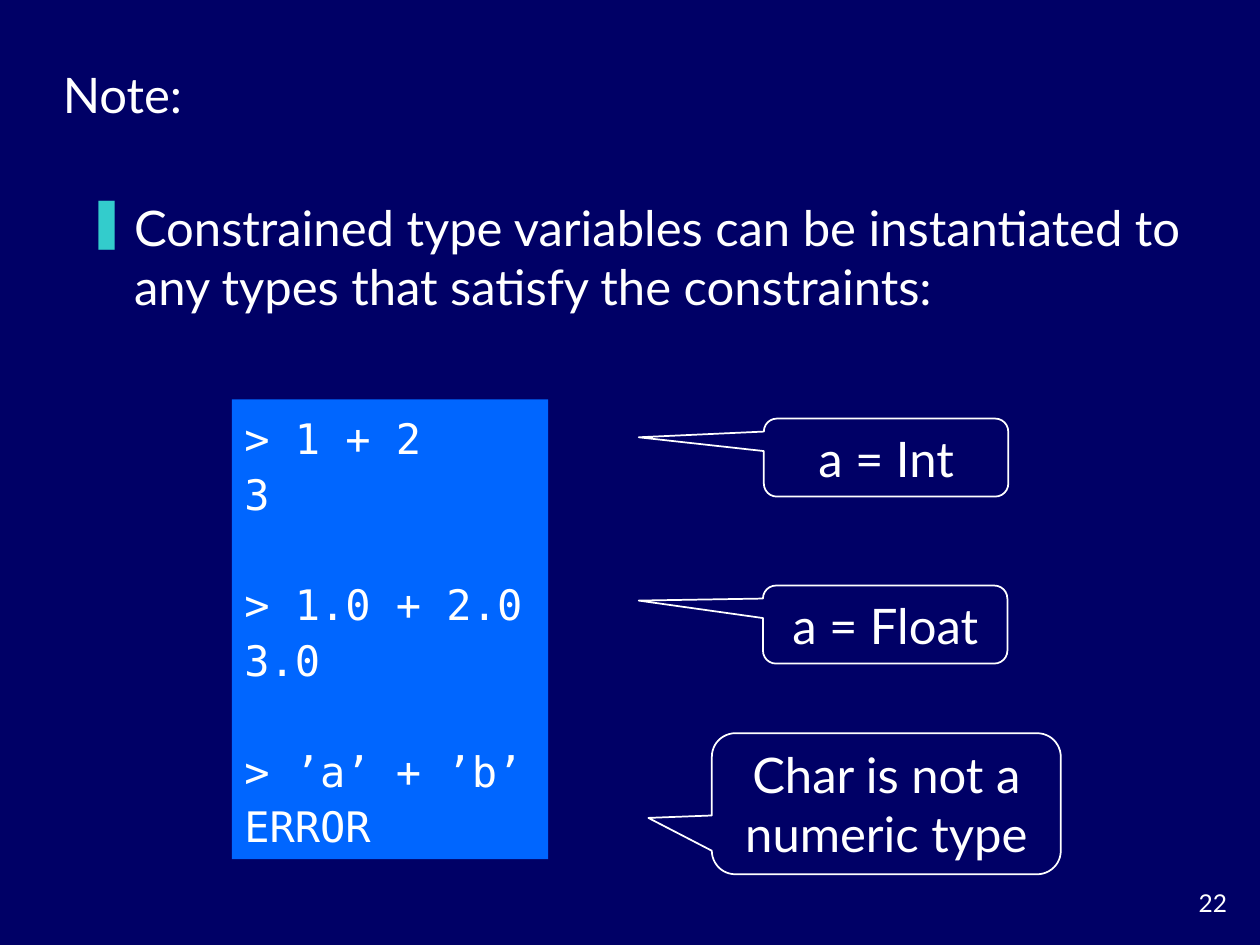
import lxml.etree
import pptx
import pptx.dml.color
import pptx.enum.shapes
import pptx.enum.text
import pptx.oxml.ns
import pptx.util

Pt = pptx.util.Pt
ALIGN = pptx.enum.text.PP_ALIGN
ANCHOR = pptx.enum.text.MSO_ANCHOR
SHAPES = pptx.enum.shapes.MSO_SHAPE
WHITE = "FFFFFF"
BODY = {"name": "Lato", "size": Pt(28)}
CODE = {"name": "DejaVu Sans Mono", "size": Pt(24)}
SMALL = {"name": "Lato", "size": Pt(14)}


def color(value):
    """Turn a hex string into a colour."""
    return pptx.dml.color.RGBColor.from_string(value)


def apply(target, values):
    """Set each attribute of the target from a dict."""
    for name, value in values.items():
        setattr(target, name, value)


def add_paragraph(frame, text, font, layout):
    """Write one paragraph, reusing the first one while it is empty."""
    first = frame.paragraphs[0]
    paragraph = frame.add_paragraph() if first.runs else first
    apply(paragraph, layout)
    run = paragraph.add_run()
    run.text = text
    apply(run.font, font)
    run.font.color.rgb = color(WHITE)
    return paragraph


def add_label(slide, box, text, font, frame_format, layout):
    """Add a text box with one paragraph and return that paragraph."""
    frame = slide.shapes.add_textbox(*map(Pt, box)).text_frame
    apply(frame, frame_format)
    return add_paragraph(frame, text, font, layout)


def add_bullet(paragraph, character, hex_color, indent):
    """Give a paragraph a coloured bullet with a hanging indent."""
    properties = paragraph._p.get_or_add_pPr()
    properties.set("marL", str(Pt(indent)))
    properties.set("indent", str(-Pt(indent)))
    qn = pptx.oxml.ns.qn
    bullet_color = lxml.etree.SubElement(properties, qn("a:buClr"))
    lxml.etree.SubElement(bullet_color, qn("a:srgbClr")).set("val", hex_color)
    lxml.etree.SubElement(properties, qn("a:buChar")).set("char", character)


def add_panel(slide, kind, box):
    """Add an unshadowed shape with vertically centred, wrapping text."""
    shape = slide.shapes.add_shape(kind, *map(Pt, box))
    shape.shadow.inherit = False
    apply(shape.text_frame, {"word_wrap": True, "vertical_anchor": ANCHOR.MIDDLE})
    return shape


def add_session(slide, box, exchanges):
    """Add the code panel, with a one-line gap between exchanges."""
    panel = add_panel(slide, SHAPES.RECTANGLE, box)
    panel.fill.solid()
    panel.fill.fore_color.rgb = color("0066FF")
    panel.line.fill.background()
    for index, (command, answer) in enumerate(exchanges):
        gap = Pt(31.7 if index else 0)
        for text, space in ((command, gap), (answer, Pt(0))):
            layout = {"alignment": ALIGN.LEFT, "line_spacing": 1.1, "space_before": space}
            add_paragraph(panel.text_frame, text, CODE, layout)


def add_callout(slide, box, tip, text):
    """Add an outlined callout whose tail ends at the tip point."""
    callout = add_panel(slide, SHAPES.ROUNDED_RECTANGULAR_CALLOUT, box)
    left, top, width, height = box
    callout.adjustments[0] = (tip[0] - left) / width - 0.5
    callout.adjustments[1] = (tip[1] - top) / height - 0.5
    callout.fill.background()
    callout.line.color.rgb = color(WHITE)
    callout.line.width = Pt(1)
    add_paragraph(callout.text_frame, text, BODY, {"alignment": ALIGN.CENTER})


def build_note_slide(presentation):
    """Build the note slide on the blank layout."""
    slide = presentation.slides.add_slide(presentation.slide_layouts[6])
    slide.background.fill.solid()
    slide.background.fill.fore_color.rgb = color("000066")
    add_label(slide, (660.2, 504, 48.2, 23.8), "22", SMALL,
              {"word_wrap": True}, {"alignment": ALIGN.RIGHT})
    statement = add_label(
        slide, (42.5, 109.4, 648.7, 85),
        "Constrained type variables can be instantiated to any types that satisfy the constraints:",
        BODY, {"word_wrap": True}, {"alignment": ALIGN.LEFT})
    add_bullet(statement, "\u275a", "33CCCC", 27)
    add_label(slide, (28.8, 33.1, 82.8, 41), "Note:", BODY,
              {"word_wrap": False, "vertical_anchor": ANCHOR.MIDDLE}, {"alignment": ALIGN.LEFT})
    add_session(slide, (132.5, 228.2, 180.7, 262.8), (
        ("> 1 + 2", "3"),
        ("> 1.0 + 2.0", "3.0"),
        ("> \u2019a\u2019 + \u2019b\u2019", "ERROR"),
    ))
    for box, tip, text in (
        ((406.8, 419, 199.4, 80.6), (370.5, 467.4), "Char is not a numeric type"),
        ((436.5, 239.2, 139.7, 44.6), (365, 249.9), "a = Int"),
        ((436, 334.6, 139.7, 44.6), (365, 343.2), "a = Float"),
    ):
        add_callout(slide, box, tip, text)


presentation = pptx.Presentation()
apply(presentation, {"slide_width": Pt(720), "slide_height": Pt(540)})
build_note_slide(presentation)
presentation.save("out.pptx")
